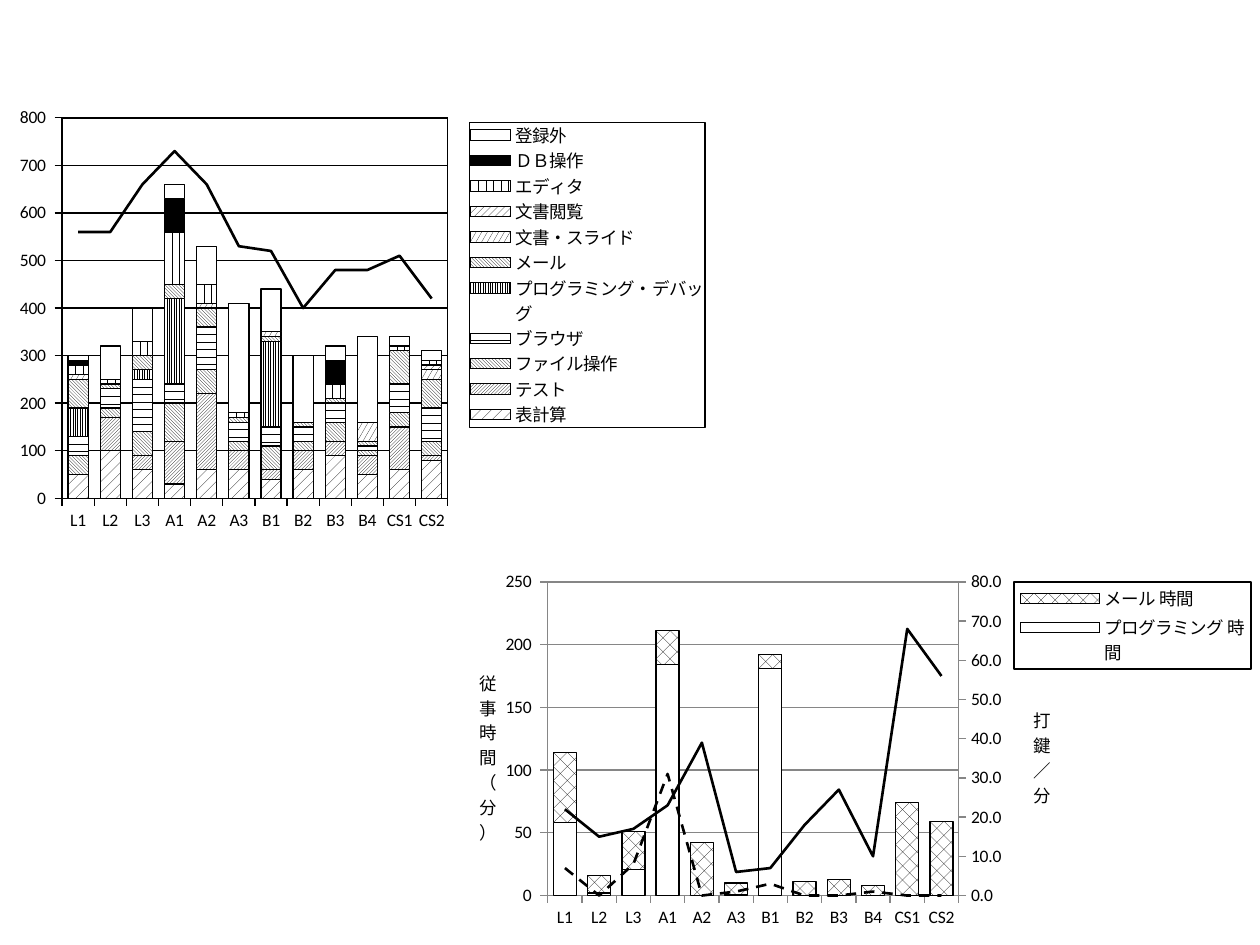
from copy import deepcopy

from lxml import etree
from pptx import Presentation
from pptx.chart.axis import CategoryAxis, ValueAxis
from pptx.chart.data import CategoryChartData
from pptx.dml.color import RGBColor
from pptx.enum.chart import XL_CHART_TYPE, XL_LEGEND_POSITION, XL_MARKER_STYLE, XL_TICK_MARK
from pptx.enum.dml import MSO_LINE, MSO_PATTERN
from pptx.oxml import parse_xml
from pptx.oxml.ns import nsdecls, qn
from pptx.util import Cm, Pt

STACKED = XL_CHART_TYPE.COLUMN_STACKED
LEGEND_RIGHT = XL_LEGEND_POSITION.RIGHT
NO_MARKER = XL_MARKER_STYLE.NONE
TICK_OUT = XL_TICK_MARK.OUTSIDE
DASH = MSO_LINE.DASH
BLACK, WHITE, GREY = "000000", "FFFFFF", "868686"
FONT = "Calibri"
PEOPLE = ["L1", "L2", "L3", "A1", "A2", "A3", "B1", "B2", "B3", "B4", "CS1", "CS2"]

TASKS = [
    ("表計算", [50, 100, 60, 30, 60, 60, 40, 60, 90, 50, 60, 80], MSO_PATTERN.PERCENT_20),
    ("テスト", [0, 70, 30, 90, 160, 40, 20, 40, 30, 40, 90, 10], MSO_PATTERN.LIGHT_UPWARD_DIAGONAL),
    ("ファイル操作", [40, 20, 50, 80, 50, 20, 50, 20, 40, 10, 30, 30], MSO_PATTERN.DARK_DOWNWARD_DIAGONAL),
    ("ブラウザ", [40, 40, 110, 40, 90, 40, 40, 30, 40, 10, 60, 70], MSO_PATTERN.DASHED_HORIZONTAL),
    ("プログラミング・デバッグ", [60, 0, 20, 180, 0, 0, 180, 0, 0, 0, 0, 0], MSO_PATTERN.NARROW_VERTICAL),
    ("メール", [60, 10, 30, 30, 40, 10, 10, 10, 10, 10, 70, 60], MSO_PATTERN.LIGHT_DOWNWARD_DIAGONAL),
    ("文書・スライド", [10, 0, 0, 0, 10, 0, 10, 0, 0, 40, 0, 20], MSO_PATTERN.LARGE_CONFETTI),
    ("文書閲覧", [0, 0, 0, 0, 0, 0, 0, 0, 0, 0, 0, 10], MSO_PATTERN.WIDE_UPWARD_DIAGONAL),
    ("エディタ", [20, 10, 30, 110, 40, 10, 0, 0, 30, 0, 10, 10], MSO_PATTERN.DASHED_VERTICAL),
    ("ＤＢ操作", [10, 0, 0, 70, 0, 0, 0, 0, 50, 0, 0, 0], BLACK),
    ("登録外", [10, 70, 70, 30, 80, 230, 90, 140, 30, 180, 20, 20], WHITE),
]
WORK_TIME = [("勤務時間", [560, 560, 660, 730, 660, 530, 520, 400, 480, 480, 510, 420], None)]
HOURS = [
    ("プログラミング 時間", [58, 2, 21, 184, 0, 1, 181, 0, 0, 0, 0, 0], WHITE),
    ("メール 時間", [56, 14, 30, 27, 42, 9, 11, 11, 13, 8, 74, 59], MSO_PATTERN.PERCENT_25),
]
KEYSTROKES = [
    ("メール 打鍵数", [22, 15, 17, 23, 39, 6, 7, 18, 27, 10, 68, 56], None),
    ("プログラミング 打鍵数", [7, 0, 8, 31, 0, 1, 3, 0, 0, 1, 0, 0], DASH),
]


def rgb(hex_code):
    """Turn a hex string into a colour."""
    return RGBColor.from_string(hex_code)


def set_line(line, color, width, dash=None):
    """Give a line its colour, width and optional dash."""
    line.color.rgb = rgb(color)
    line.width = Pt(width)
    if dash is not None:
        line.dash_style = dash


def set_fill(fill, paint):
    """Fill with a plain hex colour or a black-on-white pattern."""
    if isinstance(paint, str):
        fill.solid()
        fill.fore_color.rgb = rgb(paint)
    else:
        fill.patterned()
        fill.pattern = paint
        fill.fore_color.rgb, fill.back_color.rgb = rgb(BLACK), rgb(WHITE)


def outline_xml(color):
    """Return shape properties with a thin outline and no fill."""
    return parse_xml(
        f'<c:spPr {nsdecls("c", "a")}><a:noFill/><a:ln w="9525"><a:solidFill>'
        f'<a:srgbClr val="{color}"/></a:solidFill></a:ln></c:spPr>')


def place(element, index, box, inner=False):
    """Set the manual layout of a chart part as shares of the chart."""
    for old in element.findall(qn("c:layout")):
        element.remove(old)
    layout = parse_xml(f'<c:layout {nsdecls("c")}><c:manualLayout/></c:layout>')
    settings = [("layoutTarget", "inner")] if inner else []
    settings += [("xMode", "edge"), ("yMode", "edge"), *zip("xywh", box)]
    for tag, value in settings:
        etree.SubElement(layout[0], qn(f"c:{tag}")).set("val", str(value))
    element.insert(index, layout)


def style_axis(axis, color, number_format=None, top=None, step=None):
    """Format an axis with outside ticks and an optional scale."""
    axis.major_tick_mark = TICK_OUT
    set_line(axis.format.line, color, 0.75)
    if number_format:
        axis.tick_labels.number_format = number_format
        axis.tick_labels.number_format_is_linked = False
        axis.minimum_scale, axis.maximum_scale, axis.major_unit = 0, top, step


def stacked_title(axis, text, position):
    """Write an axis title with upright characters one below another."""
    frame = axis.axis_title.text_frame
    run = frame.paragraphs[0].add_run()
    run.text = text
    run.font.size, run.font.bold, run.font.name = Pt(10), False, FONT
    run.font.color.rgb = rgb(BLACK)
    body = frame._txBody.find(qn("a:bodyPr"))
    body.set("rot", "0")
    body.set("vert", "wordArtVert")
    place(axis.axis_title._element, 1, position)


def add_legend(chart, box, hidden):
    """Add a framed legend on the right that omits the hidden series."""
    chart.has_legend = True
    legend = chart.legend
    legend.position = LEGEND_RIGHT
    legend.include_in_layout = False
    legend.font.size, legend.font.name = Pt(10), FONT
    element = legend._element
    place(element, 1, box)
    element.find(qn("c:txPr")).addprevious(outline_xml(BLACK))
    for index in reversed(hidden):
        element.insert(1, parse_xml(
            f'<c:legendEntry {nsdecls("c")}><c:idx val="{index}"/>'
            '<c:delete val="1"/></c:legendEntry>'))


def move_to_lines(chart, first):
    """Turn the series from the given index on into a line plot."""
    bars = chart.plots[0]._element
    lines = parse_xml(
        f'<c:lineChart {nsdecls("c")}><c:grouping val="standard"/>'
        '<c:varyColors val="0"/><c:marker val="1"/></c:lineChart>')
    for series in bars.findall(qn("c:ser"))[first:]:
        for flag in series.findall(qn("c:invertIfNegative")):
            series.remove(flag)
        lines.find(qn("c:marker")).addprevious(series)
    for axis_id in bars.findall(qn("c:axId")):
        lines.append(deepcopy(axis_id))
    bars.addnext(lines)
    return lines


def add_right_axis(chart, lines):
    """Put the line plot on its own value axis and return that axis."""
    category = deepcopy(chart.category_axis._element)
    left = chart.value_axis._element
    value = deepcopy(left)
    ids = ("50010", "50020")
    for own, axis in enumerate((category, value)):
        axis.find(qn("c:axId")).set("val", ids[own])
        axis.find(qn("c:crossAx")).set("val", ids[1 - own])
        lines.findall(qn("c:axId"))[own].set("val", ids[own])
    value.find(qn("c:axPos")).set("val", "r")
    value.find(qn("c:crosses")).set("val", "max")
    left.addnext(value)
    value.addnext(category)
    CategoryAxis(category).visible = False
    right = ValueAxis(value)
    right.has_major_gridlines = False
    return right


def add_combo(slide, frame, columns, curves, gap, plot_box, legend_box, color):
    """Add stacked columns with lines and return the chart and its line plot."""
    data = CategoryChartData()
    data.categories = PEOPLE
    for name, values, _ in columns + curves:
        data.add_series(name, values)
    chart = slide.shapes.add_chart(STACKED, *map(Cm, frame), data).chart
    chart.has_title = False
    chart.font.size, chart.font.name = Pt(10), FONT
    chart.font.color.rgb = rgb(BLACK)
    plot = chart.plots[0]
    plot.gap_width, plot.overlap, plot.vary_by_categories = gap, 100, False
    for series, (_, _, paint) in zip(plot.series, columns):
        set_fill(series.format.fill, paint)
        set_line(series.format.line, BLACK, 0.75)
    lines = move_to_lines(chart, len(columns))
    for series, (_, _, dash) in zip(chart.plots[1].series, curves):
        set_line(series.format.line, BLACK, 1.5, dash)
        series.marker.style = NO_MARKER
        series.smooth = False
    add_legend(chart, legend_box, range(len(columns), len(columns + curves)))
    area = plot._element.getparent()
    place(area, 0, plot_box, inner=True)
    area.append(outline_xml(color))
    style_axis(chart.category_axis, color)
    set_line(chart.value_axis.major_gridlines.format.line, color, 0.75)
    return chart, lines


def main():
    """Build the slide with the two combined charts."""
    deck = Presentation()
    deck.slide_width, deck.slide_height = Cm(25.4), Cm(19.05)
    slide = deck.slides.add_slide(deck.slide_layouts[6])

    tasks, _ = add_combo(slide, (0.1, 1.93, 14.4, 8.92), TASKS, WORK_TIME, 59,
                         (0.08, 0.05, 0.54, 0.86), (0.65, 0.06, 0.33, 0.69), BLACK)
    style_axis(tasks.value_axis, BLACK, "0_ ", 800, 100)

    typing, lines = add_combo(slide, (9.45, 11.35, 15.93, 7.62), HOURS, KEYSTROKES, 49,
                              (0.1, 0.05, 0.52, 0.83), (0.69, 0.05, 0.3, 0.23), GREY)
    left = typing.value_axis
    right = add_right_axis(typing, lines)
    style_axis(left, GREY, r"#,##0_);[Red]\(#,##0\)", 250, 50)
    style_axis(right, GREY, "0.0", 80, 10)
    stacked_title(left, "従事時間（分）", (0.01, 0.27))
    stacked_title(right, "打鍵／分", (0.71, 0.37))

    deck.save("out.pptx")


main()
